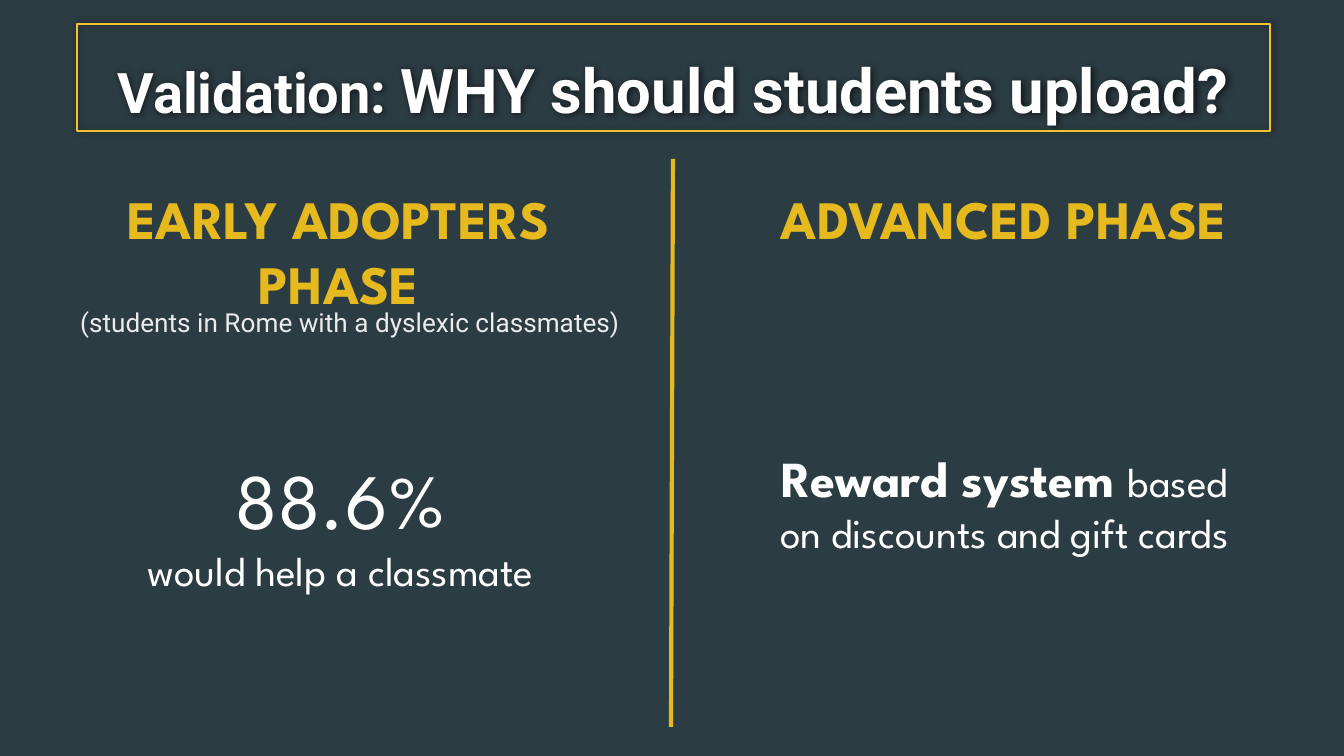
from dataclasses import dataclass
from typing import Any

from lxml import etree
from pptx import Presentation, util as u
from pptx.dml import color
from pptx.enum import shapes, text
from pptx.oxml import ns

PX = 914400 / 134.4


@dataclass(frozen=True)
class Theme:
    background: str = "2C3C43"
    gold: str = "E6B91E"
    frame: str = "F1C232"
    title: str = "FEFEFE"
    white: str = "FFFFFF"
    pale: str = "EBEBEB"
    shadow: str = "000000"
    display: str = "League Spartan"
    plain: str = "Roboto"
    title_size: int = 33
    lead_size: int = 30
    heading_size: int = 29
    figure_size: int = 42
    reward_size: int = 27
    body_size: int = 22
    note_size: int = 14
    frame_width: float = 0.75
    divider_width: float = 2.25


THEME = Theme()


@dataclass(frozen=True)
class Run:
    words: str
    size: int
    ink: str = THEME.white
    font: str = THEME.display
    bold: bool = False


@dataclass(frozen=True)
class Box:
    left: int
    top: int
    width: int
    height: int
    paragraphs: tuple[tuple[Run, ...], ...]
    inset_x: int = 13
    inset_y: int = 13
    anchor: Any = text.MSO_ANCHOR.TOP
    fit: Any = text.MSO_AUTO_SIZE.SHAPE_TO_FIT_TEXT


def px(length: int) -> int:
    return round(length * PX)


def rgb(value: str) -> color.RGBColor:
    return color.RGBColor.from_string(value)


def apply_format(target: Any, values: dict[str, Any]) -> None:
    for name, value in values.items():
        setattr(target, name, value)


def draw_box(slide: Any, box: Box) -> Any:
    shape = slide.shapes.add_textbox(
        px(box.left), px(box.top), px(box.width), px(box.height)
    )
    frame = shape.text_frame
    apply_format(frame, {
        "word_wrap": True,
        "auto_size": box.fit,
        "vertical_anchor": box.anchor,
        "margin_left": px(box.inset_x),
        "margin_right": px(box.inset_x),
        "margin_top": px(box.inset_y),
        "margin_bottom": px(box.inset_y),
    })
    for index, runs in enumerate(box.paragraphs):
        paragraph = frame.add_paragraph() if index else frame.paragraphs[0]
        paragraph.alignment = text.PP_ALIGN.CENTER
        for item in runs:
            run = paragraph.add_run()
            run.text = item.words
            apply_format(run.font, {
                "name": item.font,
                "size": u.Pt(item.size),
                "bold": item.bold,
            })
            run.font.color.rgb = rgb(item.ink)
    return shape


def draw_outline(shape: Any, ink: str, width: float) -> None:
    shape.line.color.rgb = rgb(ink)
    shape.line.width = u.Pt(width)


def add_effects(shape: Any) -> Any:
    return etree.SubElement(shape._element.spPr, ns.qn("a:effectLst"))


def add_glow_shadow(shape: Any) -> None:
    shadow = etree.SubElement(
        add_effects(shape), ns.qn("a:outerShdw"),
        blurRad=str(u.Pt(4)), dist="0", dir="0", algn="ctr", rotWithShape="0",
    )
    ink = etree.SubElement(shadow, ns.qn("a:srgbClr"), val=THEME.shadow)
    etree.SubElement(ink, ns.qn("a:alpha"), val="60000")


def heading(left: int, words: str) -> Box:
    run = Run(words, THEME.heading_size, THEME.gold, bold=True)
    return Box(left, 172, 474, 159, ((run,),))


TITLE = Box(
    77, 24, 1193, 107,
    ((
        Run("Validation: ", THEME.lead_size, THEME.title, THEME.plain, True),
        Run("WHY should students upload?", THEME.title_size, THEME.title,
            THEME.plain, True),
    ),),
    inset_x=10, inset_y=5,
    anchor=text.MSO_ANCHOR.BOTTOM, fit=text.MSO_AUTO_SIZE.NONE,
)

COLUMN_BOXES = (
    heading(767, "ADVANCED PHASE"),
    heading(102, "EARLY ADOPTERS PHASE"),
    Box(81, 438, 519, 172, (
        (Run("88.6%", THEME.figure_size),),
        (Run("would help a classmate", THEME.body_size),),
    )),
    Box(59, 293, 582, 59, (
        (Run("(students in Rome with a dyslexic classmates)",
             THEME.note_size, THEME.pale, THEME.plain),),
    )),
    Box(745, 434, 519, 188, ((
        Run("Reward system ", THEME.reward_size, bold=True),
        Run("based on discounts and gift cards", THEME.body_size),
    ),)),
)


def main() -> None:
    presentation = Presentation()
    apply_format(presentation, {"slide_width": px(1344), "slide_height": px(756)})
    slide = presentation.slides.add_slide(presentation.slide_layouts[6])
    slide.background.fill.solid()
    slide.background.fill.fore_color.rgb = rgb(THEME.background)

    title = draw_box(slide, TITLE)
    draw_outline(title, THEME.frame, THEME.frame_width)
    add_glow_shadow(title)

    divider = slide.shapes.add_connector(
        shapes.MSO_CONNECTOR.STRAIGHT, px(673), px(159), px(671), px(727)
    )
    draw_outline(divider, THEME.gold, THEME.divider_width)
    add_effects(divider)

    for box in COLUMN_BOXES:
        draw_box(slide, box)
    presentation.save("out.pptx")


if __name__ == "__main__":
    main()
